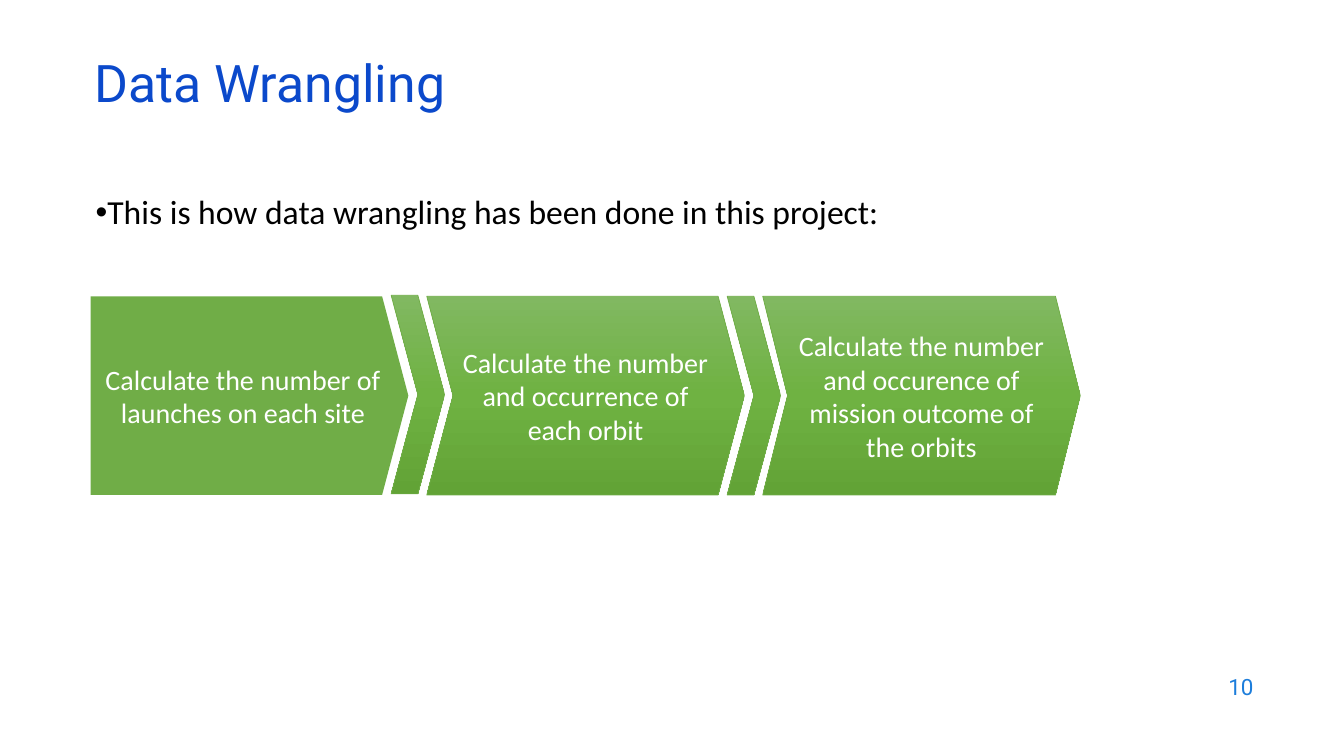
from copy import deepcopy

from pptx import Presentation
from pptx.dml.color import RGBColor
from pptx.enum.shapes import MSO_SHAPE
from pptx.enum.text import MSO_ANCHOR, PP_ALIGN
from pptx.oxml.ns import qn
from pptx.util import Inches, Pt

TOP, MID = MSO_ANCHOR.TOP, MSO_ANCHOR.MIDDLE
LEFT, MID_X, RIGHT = PP_ALIGN.LEFT, PP_ALIGN.CENTER, PP_ALIGN.RIGHT
PLATE, ARROW = MSO_SHAPE.PENTAGON, MSO_SHAPE.CHEVRON

THEME = {
    "title": {"name": "Roboto", "size": Pt(37), "color": "0B49CB"},
    "body": {"name": "Calibri", "size": Pt(24), "color": "000000"},
    "step": {"name": "Calibri", "size": Pt(20), "color": "FFFFFF"},
    "page": {"name": "Roboto", "size": Pt(16), "color": "1C7DDB"},
    "green": "70AD47",
    "fade": [(0, "81B861"), (0.5, "6FB242"), (1, "62A336")],
}

deck = Presentation()
deck.slide_width, deck.slide_height = Inches(13.33), Inches(7.5)
slide = deck.slides.add_slide(deck.slide_layouts[6])


def write(shape, text, style, anchor, align, spacing=1.0):
    frame = shape.text_frame
    para = frame.paragraphs[0]
    if style == "body":
        props = para._p.get_or_add_pPr()
        props.set("marL", "0")
        props.set("indent", "0")
        face = props.makeelement(qn("a:buFont"), {"typeface": "Arial"})
        mark = props.makeelement(qn("a:buChar"), {"char": "•"})
        props.extend([face, mark])
    run = para.add_run()
    run.text = text
    font = {k: v for k, v in THEME[style].items() if k != "color"}
    for target, values in (
        (frame, {"word_wrap": True, "vertical_anchor": anchor}),
        (para, {"alignment": align, "line_spacing": spacing}),
        (run.font, font),
    ):
        for key, value in values.items():
            setattr(target, key, value)
    run.font.color.rgb = RGBColor.from_string(THEME[style]["color"])


def block(kind, left, top, width, bend, faded):
    """Add one green part of the flow, plain or with the fade and a thin edge."""
    shape = slide.shapes.add_shape(
        kind, Inches(left), Inches(top), Inches(width), Inches(1.97))
    shape.shadow.inherit = False
    shape.adjustments[0] = bend
    green = RGBColor.from_string(THEME["green"])
    if not faded:
        shape.fill.solid()
        shape.fill.fore_color.rgb = green
        shape.line.fill.background()
        return shape
    shape.fill.gradient()
    shape.fill.gradient_angle = 270
    stops = shape._element.spPr.find(qn("a:gradFill")).find(qn("a:gsLst"))
    stops.insert(1, deepcopy(stops[0]))
    for stop, (place, color) in zip(shape.fill.gradient_stops, THEME["fade"]):
        stop.position = place
        stop.color.rgb = RGBColor.from_string(color)
    shape.line.color.rgb = green
    shape.line.width = Pt(0.5)
    return shape


# Page number, lead line and title
texts = [
    ((9.53, 6.59, 3, 0.44), "10", "page", MID, RIGHT, 1.0),
    ((0.85, 1.89, 9.82, 4.76),
     "This is how data wrangling has been done in this project:",
     "body", TOP, LEFT, 0.9),
    ((0.84, 0.59, 11.5, 0.6), "Data Wrangling", "title", MID, LEFT, 0.7),
]
for area, *words in texts:
    write(slide.shapes.add_textbox(*map(Inches, area)), *words)

# Three steps, a quarter of the slide apart, with a narrow link after each but the last
start, pitch, row = 0.9, 13.33 / 4, 2.94
steps = [
    (PLATE, 0.132, "Calculate the number of launches on each site"),
    (ARROW, 0.132, "Calculate the number and occurrence of each orbit"),
    (ARROW, 0.125,
     "Calculate the number and occurence of mission outcome of the orbits"),
]
for i, (kind, bend, text) in enumerate(steps):
    left = start + i * pitch
    step = block(kind, left, row, 3.15, bend, kind == ARROW)
    write(step, text, "step", MID, MID_X)
for i, top in enumerate((row - 0.01, row)):
    block(ARROW, start + i * pitch + 2.98, top, 0.53, 0.5, True)

deck.save("out.pptx")
